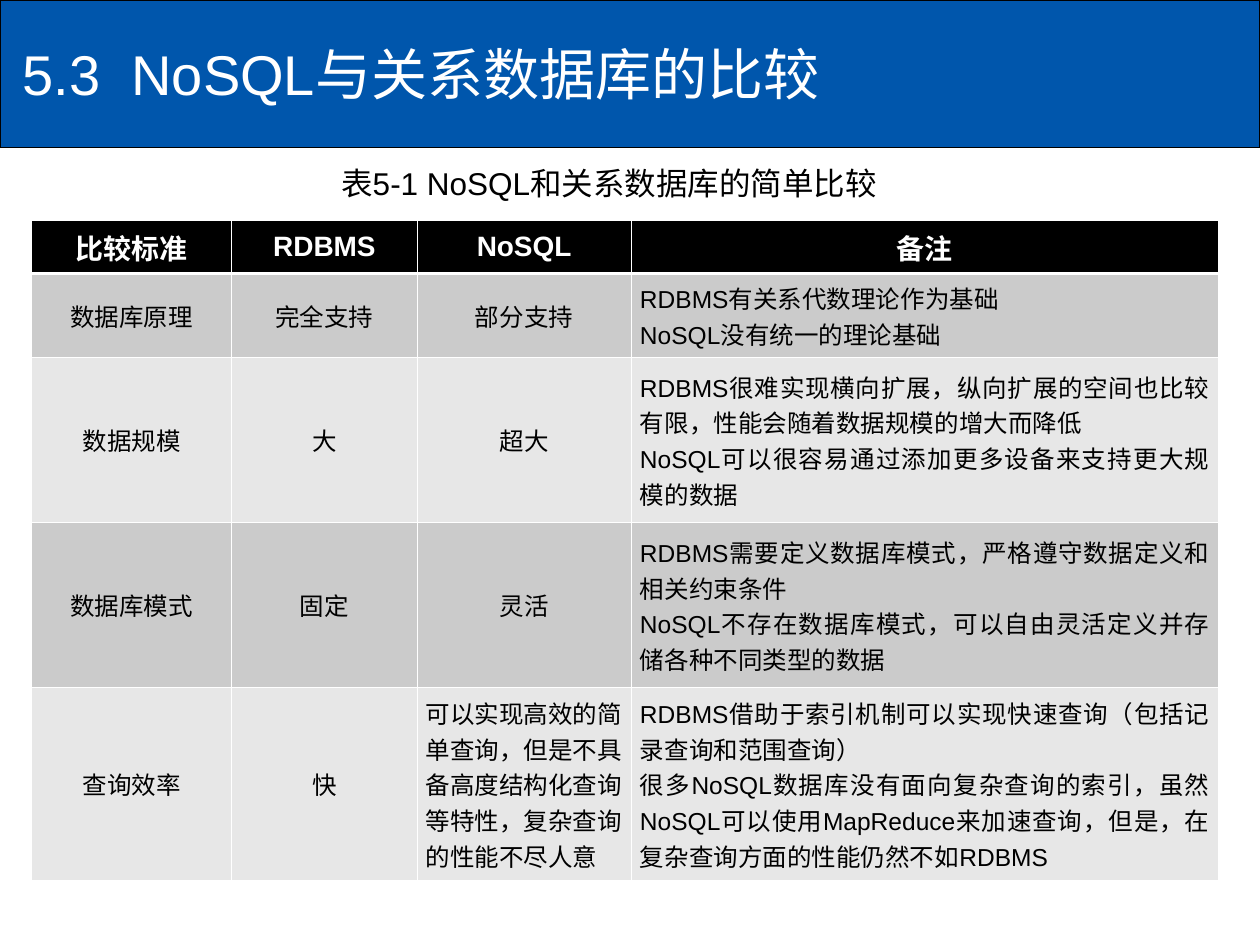
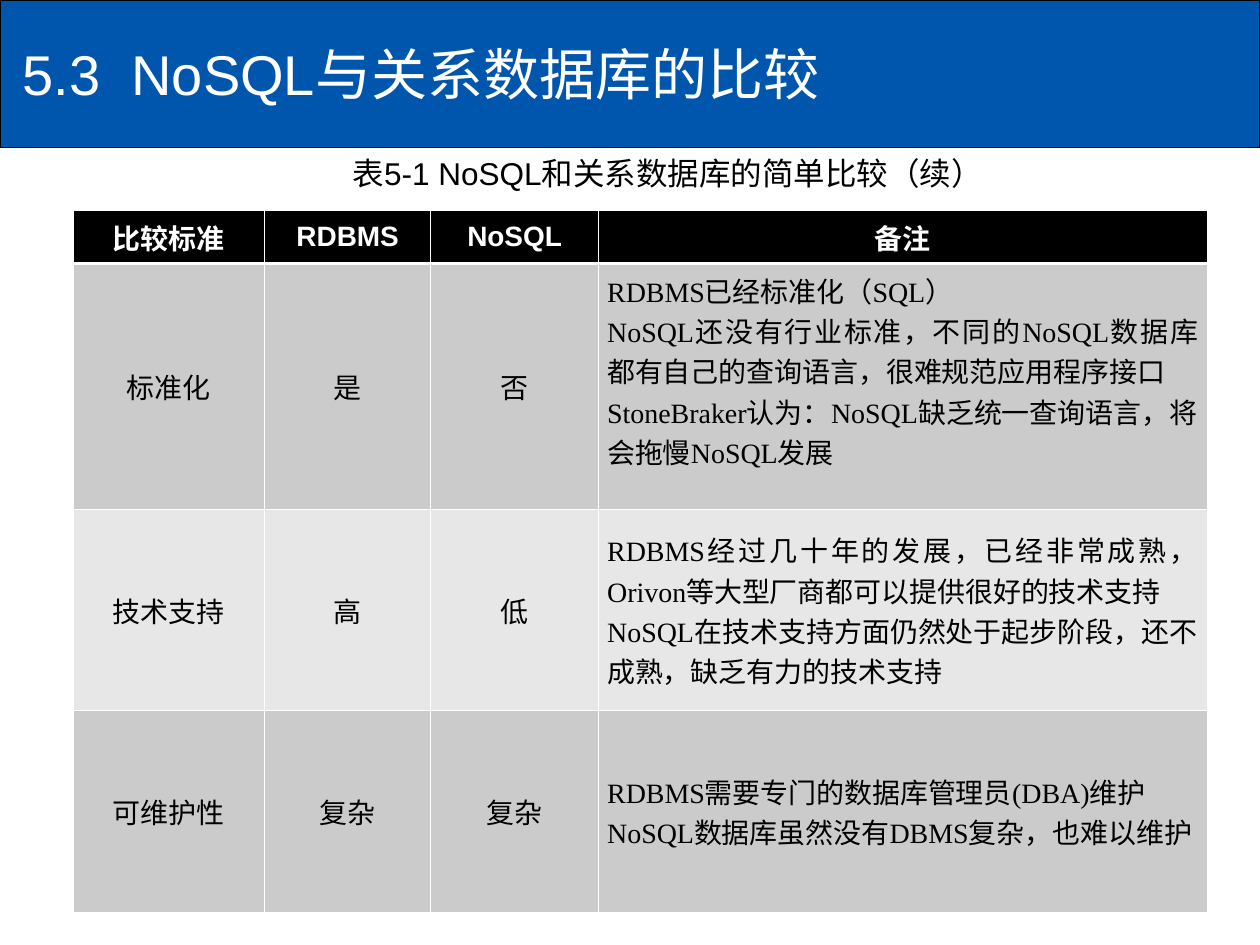
"""Build two slides comparing NoSQL with relational databases."""
from lxml.etree import SubElement
from pptx import Presentation
from pptx.dml.color import RGBColor
from pptx.enum.shapes import MSO_SHAPE
from pptx.enum.text import MSO_ANCHOR as ANCHOR, MSO_AUTO_SIZE as AUTO_SIZE, PP_ALIGN as ALIGN
from pptx.oxml.ns import qn
from pptx.util import Inches, Pt

COLORS = {"band": "0056AC", "black": "000000", "white": "FFFFFF", "dark_row": "CBCBCB", "light_row": "E7E7E7"}
TITLE = "5.3  NoSQL与关系数据库的比较"
HEADINGS = ["比较标准", "RDBMS", "NoSQL", "备注"]
THIN, THICK = 0.45, 1.47

COMPARISONS = [
    {
        "caption": "表5-1 NoSQL和关系数据库的简单比较",
        "caption_at": (2.61, 1.25, 4.62, 0.4),
        "table_at": (0.25, 1.75),
        "widths": [1.59, 1.47, 1.7, 4.66],
        "heights": [0.39, 0.66, 1.31, 1.31, 1.53],
        "font": "Arial",
        "size": 14,
        "rows": [
            ["数据库原理", "完全支持", "部分支持",
             "RDBMS有关系代数理论作为基础\nNoSQL没有统一的理论基础"],
            ["数据规模", "大", "超大",
             "RDBMS很难实现横向扩展，纵向扩展的空间也比较有限，性能会随着数据规模的增大而降低\n"
             "NoSQL可以很容易通过添加更多设备来支持更大规模的数据"],
            ["数据库模式", "固定", "灵活",
             "RDBMS需要定义数据库模式，严格遵守数据定义和相关约束条件\n"
             "NoSQL不存在数据库模式，可以自由灵活定义并存储各种不同类型的数据"],
            ["查询效率", "快", "可以实现高效的简单查询，但是不具备高度结构化查询等特性，复杂查询的性能不尽人意",
             "RDBMS借助于索引机制可以实现快速查询（包括记录查询和范围查询）\n"
             "很多NoSQL数据库没有面向复杂查询的索引，虽然NoSQL可以使用MapReduce来加速查询，"
             "但是，在复杂查询方面的性能仍然不如RDBMS"],
        ],
    },
    {
        "caption": "表5-1 NoSQL和关系数据库的简单比较（续）",
        "caption_at": (2.7, 1.17, 5.37, 0.4),
        "table_at": (0.58, 1.67),
        "widths": [1.52, 1.32, 1.33, 4.83],
        "heights": [0.42, 1.6, 1.6, 1.6],
        "font": "Times New Roman",
        "size": 16,
        "rows": [
            ["标准化", "是", "否",
             "RDBMS已经标准化（SQL）\n"
             "NoSQL还没有行业标准，不同的NoSQL数据库都有自己的查询语言，很难规范应用程序接口\n"
             "StoneBraker认为：NoSQL缺乏统一查询语言，将会拖慢NoSQL发展"],
            ["技术支持", "高", "低",
             "RDBMS经过几十年的发展，已经非常成熟，Orivon等大型厂商都可以提供很好的技术支持\n"
             "NoSQL在技术支持方面仍然处于起步阶段，还不成熟，缺乏有力的技术支持"],
            ["可维护性", "复杂", "复杂",
             "RDBMS需要专门的数据库管理员(DBA)维护\nNoSQL数据库虽然没有DBMS复杂，也难以维护"],
        ],
    },
]


def write(frame, text, size=14, font="Arial", color="black", bold=False, align=ALIGN.LEFT):
    frame.text = text
    for paragraph in frame.paragraphs:
        paragraph.alignment = align
        for run in paragraph.runs:
            run.font.size = Pt(size)
            run.font.name = font
            run.font.bold = bold
            run.font.color.rgb = RGBColor.from_string(COLORS[color])


def style_cell(cell, fill, top=THIN, bottom=THIN):
    properties = cell._tc.get_or_add_tcPr()
    for side, width in (("L", THIN), ("R", THIN), ("T", top), ("B", bottom)):
        border = SubElement(properties, qn(f"a:ln{side}"), w=str(Pt(width)))
        SubElement(SubElement(border, qn("a:solidFill")), qn("a:srgbClr"), val=COLORS["white"])
    cell.fill.solid()
    cell.fill.fore_color.rgb = RGBColor.from_string(COLORS[fill])
    cell.vertical_anchor = ANCHOR.MIDDLE
    cell.margin_left = cell.margin_right = Inches(0.07)
    cell.margin_top = cell.margin_bottom = Inches(0.05)


prs = Presentation()
prs.slide_width, prs.slide_height = Inches(10), Inches(7.5)
layout = prs.slide_layouts[5]
slides = [prs.slides.add_slide(layout) for _ in COMPARISONS]

band = slides[0].shapes.add_shape(MSO_SHAPE.RECTANGLE, 0, 0, Inches(10), Inches(1.17))
band.shadow.inherit = False
band.fill.solid()
band.fill.fore_color.rgb = RGBColor.from_string(COLORS["band"])
band.line.color.rgb = RGBColor.from_string(COLORS["black"])
band.line.width = Pt(0.75)
layout.shapes.element.insert(2, band.element)

for slide, comparison in zip(slides, COMPARISONS):
    title = slide.shapes.title
    title.left, title.top, title.width, title.height = map(Inches, (0.08, 0.08, 8.75, 1))
    write(title.text_frame, TITLE, size=32, color="white")
    title.text_frame.vertical_anchor = ANCHOR.MIDDLE

    widths, heights = comparison["widths"], comparison["heights"]
    table = slide.shapes.add_table(
        len(heights), len(widths), *map(Inches, comparison["table_at"]),
        Inches(sum(widths)), Inches(sum(heights))).table
    for column, width in zip(table.columns, widths):
        column.width = Inches(width)
    for row, height in zip(table.rows, heights):
        row.height = Inches(height)

    for c, heading in enumerate(HEADINGS):
        style_cell(table.cell(0, c), "black", bottom=THICK)
        write(table.cell(0, c).text_frame, heading, size=16, color="white", bold=True, align=ALIGN.CENTER)

    for r, entries in enumerate(comparison["rows"], start=1):
        for c, entry in enumerate(entries):
            cell = table.cell(r, c)
            style_cell(cell, "dark_row" if r % 2 else "light_row", top=THICK if r == 1 else THIN)
            align = ALIGN.JUSTIFY if c == 3 else ALIGN.LEFT if len(entry) > 10 else ALIGN.CENTER
            write(cell.text_frame, entry, size=comparison["size"], font=comparison["font"], align=align)
            if entry.count("\n") == 2:
                cell.margin_bottom = Inches(0.3)

    caption = slide.shapes.add_textbox(*map(Inches, comparison["caption_at"])).text_frame
    caption.word_wrap = False
    caption.auto_size = AUTO_SIZE.SHAPE_TO_FIT_TEXT
    caption.vertical_anchor = ANCHOR.MIDDLE
    write(caption, comparison["caption"], size=18)

prs.save("out.pptx")
